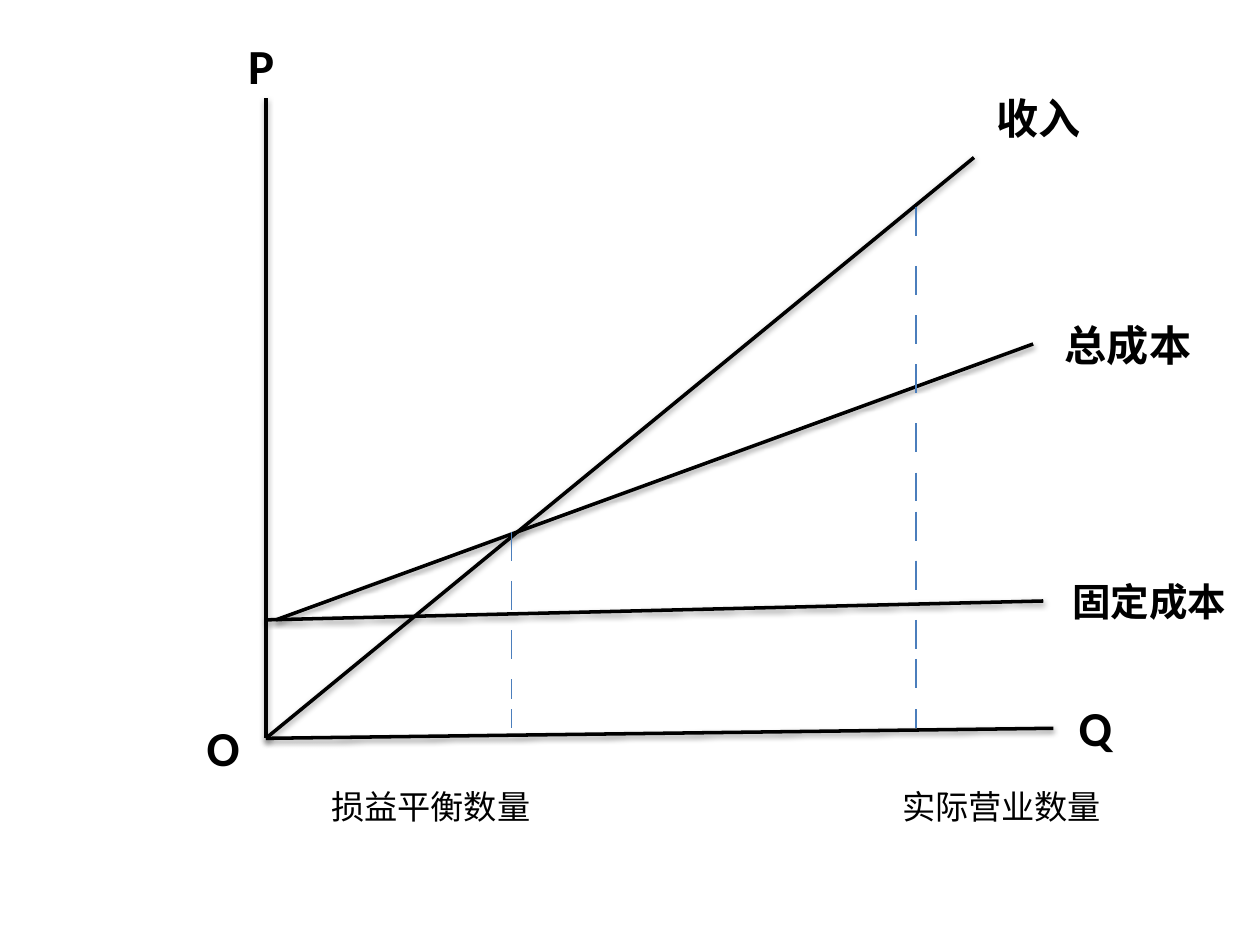
from dataclasses import dataclass

from lxml.etree import SubElement
from pptx import Presentation
from pptx.dml.color import RGBColor
from pptx.enum.shapes import MSO_CONNECTOR as Connector
from pptx.enum.text import MSO_ANCHOR as Anchor, PP_ALIGN as Align
from pptx.oxml.ns import qn
from pptx.util import Inches, Pt


@dataclass(frozen=True)
class Theme:
    font: str = "Calibri"
    ink: RGBColor = RGBColor(0, 0, 0)
    guide: RGBColor = RGBColor(0x4B, 0x7E, 0xBC)
    curve_width: float = 2
    guide_width: float = 0.75
    title_size: float = 28
    axis_size: float = 27.9
    curve_size: float = 24.1
    fixed_size: float = 22
    quantity_size: float = 19


@dataclass(frozen=True)
class Box:
    left: float
    top: float
    width: float
    height: float

    def place(self, x, y):
        return Inches(self.left + x), Inches(self.top + y)


THEME = Theme()
PLOT = Box(2.11, 0.78, 6.25, 5.08)
AXIS_RISE = 0.08
DASH, DASH_GAP = 0.23, 0.08


def add_line(slide, box, start, end, color, width, shadow=False):
    line = slide.shapes.add_connector(
        Connector.STRAIGHT, *box.place(*start), *box.place(*end))
    line.line.color.rgb = color
    line.line.width = Pt(width)
    effects = SubElement(line._element.spPr, qn("a:effectLst"))
    if shadow:
        outer = SubElement(effects, qn("a:outerShdw"), blurRad="40000",
                           dist="20000", dir="5400000", rotWithShape="0")
        black = SubElement(outer, qn("a:srgbClr"), val=str(THEME.ink))
        SubElement(black, qn("a:alpha"), val="38000")


def draw_curves(slide, box):
    """Draw both axes, fixed cost, revenue and total cost."""
    origin = (0, box.height)
    curves = [
        ((0, 0), origin),
        (origin, (box.width, box.height - AXIS_RISE)),
        ((0, 4.14), (6.17, 3.99)),
        (origin, (5.62, 0.47)),
        ((0.08, 4.14), (6.09, 1.95)),
    ]
    for start, end in curves:
        add_line(slide, box, start, end, THEME.ink, THEME.curve_width, shadow=True)


def draw_guide(slide, box, x, dash_tops):
    """Draw a vertical guide of dashes, cut short before the next dash or the axis."""
    floor = box.height - AXIS_RISE
    limits = [top - DASH_GAP for top in dash_tops[1:]] + [floor]
    for top, limit in zip(dash_tops, limits):
        add_line(slide, box, (x, top), (x, min(top + DASH, limit)),
                 THEME.guide, THEME.guide_width)


def write_text(shape, text, size, bold, inset, spacing):
    frame = shape.text_frame
    frame_format = {
        "word_wrap": True, "vertical_anchor": Anchor.TOP,
        "margin_left": Inches(inset[0]), "margin_top": Inches(inset[1]),
        "margin_right": 0, "margin_bottom": 0,
    }
    for name, value in frame_format.items():
        setattr(frame, name, value)
    frame.text = text
    paragraph = frame.paragraphs[0]
    paragraph.alignment = Align.LEFT
    paragraph.line_spacing = spacing
    font = paragraph.runs[0].font
    for name, value in {"name": THEME.font, "size": Pt(size), "bold": bold}.items():
        setattr(font, name, value)
    font.color.rgb = THEME.ink


def draw_price_title(slide, box):
    title = slide.shapes.title
    title.left, title.top = box.place(-0.39, -0.55)
    title.width, title.height = Inches(0.85), Inches(1.49)
    write_text(title, "P", THEME.title_size, True, (0.25, 0.05), 1.0)


def draw_labels(slide, box):
    # text, left, top, width, size, bold, (left inset, top inset)
    labels = [
        ("Q", 6.17, 4.77, 1.72, THEME.axis_size, True, (0.28, 0.08)),
        ("O", -0.78, 4.85, 1.25, THEME.axis_size, True, (0.31, 0.16)),
        ("固定成本", 6.17, 3.83, 1.72, THEME.fixed_size, True, (0.23, 0.05)),
        ("总成本", 6.02, 1.64, 1.72, THEME.curve_size, True, (0.32, 0.19)),
        ("收入", 5.47, -0.16, 1.72, THEME.curve_size, True, (0.33, 0.19)),
        ("损益平衡数量", 0.31, 5.47, 2.03, THEME.quantity_size, False, (0.21, 0.05)),
        ("实际营业数量", 4.84, 5.47, 1.95, THEME.quantity_size, False, (0.21, 0.05)),
    ]
    for text, left, top, width, size, bold, inset in labels:
        label = slide.shapes.add_textbox(
            *box.place(left, top), Inches(width), Inches(0.63))
        write_text(label, text, size, bold, inset, 0.8)


def main():
    deck = Presentation()
    deck.slide_width, deck.slide_height = Inches(10), Inches(7.5)
    slide = deck.slides.add_slide(deck.slide_layouts[5])
    draw_curves(slide, PLOT)
    draw_guide(slide, PLOT, 1.95, [3.44, 3.83, 4.22, 4.61, 4.85])
    draw_guide(slide, PLOT, 5.16, [0.86, 1.33, 1.72, 2.11, 2.58, 2.97,
                                   3.28, 3.67, 4.14, 4.45, 4.85])
    draw_price_title(slide, PLOT)
    draw_labels(slide, PLOT)
    deck.save("out.pptx")


if __name__ == "__main__":
    main()
